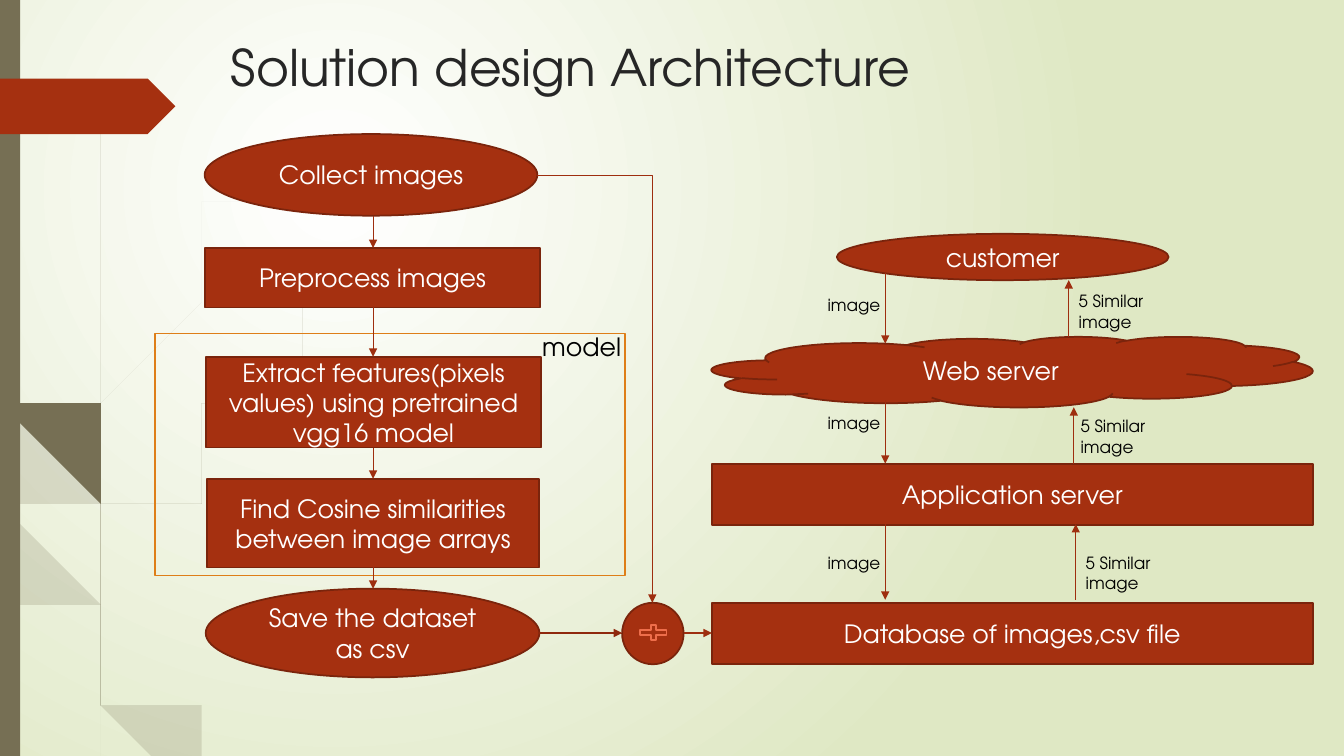
from lxml.etree import SubElement
from pptx import Presentation
from pptx.dml.color import RGBColor
from pptx.enum.shapes import MSO_CONNECTOR, MSO_SHAPE
from pptx.enum.text import MSO_ANCHOR, MSO_AUTO_SIZE, PP_ALIGN
from pptx.oxml import parse_xml
from pptx.oxml.ns import nsdecls, qn
from pptx.util import Inches, Pt


class Theme:
    font = "TeX Gyre Adventor"
    rust = RGBColor.from_string("A53010")
    rust_edge = RGBColor.from_string("7A240C")
    arrow = RGBColor.from_string("9E2E0F")
    csv_arrow = RGBColor.from_string("8F280D")
    plus_edge = RGBColor.from_string("EE6E4B")
    frame = RGBColor.from_string("DE7E18")
    olive = RGBColor.from_string("766F54")
    title_ink = RGBColor.from_string("262626")
    black = RGBColor(0, 0, 0)
    white = RGBColor(255, 255, 255)
    title_size, node_size, label_size = Pt(36), Pt(18), Pt(12)
    edge_width, arrow_width = Pt(1.25), Pt(0.75)


presentation = Presentation()
presentation.slide_width, presentation.slide_height = Inches(13.33), Inches(7.5)
slide = presentation.slides.add_slide(presentation.slide_layouts[5])
shapes = slide.shapes


def add_node(kind, box, text="", fill=Theme.rust, edge=Theme.rust_edge):
    node = shapes.add_shape(kind, *map(Inches, box))
    node.shadow.inherit = False
    if fill is None:
        node.fill.background()
    else:
        node.fill.solid()
        node.fill.fore_color.rgb = fill
    if edge is None:
        node.line.fill.background()
    else:
        node.line.color.rgb = edge
        node.line.width = Theme.edge_width
    if text:
        node.text_frame.text = text
        node.text_frame.word_wrap = True
        node.text_frame.vertical_anchor = MSO_ANCHOR.MIDDLE
        paragraph = node.text_frame.paragraphs[0]
        paragraph.alignment = PP_ALIGN.CENTER
        paragraph.font.name = Theme.font
        paragraph.font.size = Theme.node_size
        paragraph.font.color.rgb = Theme.white
    return node


def add_arrow(start, end, color=Theme.arrow, kind=MSO_CONNECTOR.STRAIGHT):
    arrow = shapes.add_connector(kind, *map(Inches, (*start, *end)))
    arrow.line.color.rgb = color
    arrow.line.width = Theme.arrow_width
    SubElement(arrow.line._get_or_add_ln(), qn("a:tailEnd"), type="triangle")
    SubElement(arrow._element.spPr, qn("a:effectLst"))
    return arrow


slide.background.fill.solid()
background = slide._element.cSld.find(qn("p:bg")).find(qn("p:bgPr"))
background.replace(background[0], parse_xml(
    f'<a:gradFill {nsdecls("a")} rotWithShape="1"><a:gsLst>'
    '<a:gs pos="0"><a:srgbClr val="FFFFFF"/></a:gs>'
    '<a:gs pos="100000"><a:srgbClr val="DFE8C4"/></a:gs></a:gsLst>'
    '<a:path path="circle"><a:fillToRect l="50000" t="50000" r="100000" b="100000"/></a:path>'
    '</a:gradFill>'))

wisps = [
    (20, [(0, 2.99), (0.11, 3.5), (0.28, 4.7), (0.65, 6.21), (0.92, 6.93), (1.14, 7.5)],
     [(1.24, 7.5), (1.05, 7.11), (0.93, 6.83), (0.7, 6.19), (0.31, 4.69), (0.17, 3.76),
      (0.09, 3.22), (0, 2.82)]),
    (20, [(0.14, 3.45), (0.17, 3.76), (0.58, 5.22), (0.84, 5.99), (1.23, 6.94), (1.5, 7.5)],
     [(1.55, 7.5), (1.27, 6.92), (0.92, 6.07), (0.62, 5.2), (0.14, 3.45)]),
    (20, [(3.12, 1.54), (2.68, 1.98), (2.29, 2.45), (1.6, 3.49), (1.1, 4.62), (0.88, 5.84),
          (0.91, 6.46), (1.05, 7.11)],
     [(0.93, 6.83), (0.87, 6.46), (0.84, 5.99), (0.85, 5.84), (1.07, 4.61), (1.58, 3.48),
      (2.28, 2.44), (2.68, 1.97), (3.12, 1.53)]),
    (100, [(0.03, 0), (0.07, 1.1), (0.17, 2.33), (0.33, 3.55), (0.57, 4.77), (0.68, 5.57),
           (0.93, 6.59), (1.17, 7.22), (1.27, 7.49)],
     [(1.36, 7.49), (1.22, 7.19), (1.1, 6.91), (0.98, 6.57), (0.72, 5.56), (0.55, 4.53),
      (0.36, 3.55), (0.19, 2.32), (0.08, 1.09), (0.04, 0)]),
    (100, [(0.7, 1.41), (0.62, 1.93), (0.56, 2.45), (0.52, 3.49), (0.55, 4.49), (0.64, 5.05),
           (0.88, 5.92), (1.06, 6.45), (1.32, 7.08), (1.52, 7.49)],
     [(1.57, 7.49), (1.36, 7.06), (1.13, 6.49), (0.93, 5.9), (0.6, 4.72), (0.54, 3.49),
      (0.58, 2.45), (0.63, 1.93), (0.7, 1.41)]),
    (100, [(2.6, 3.44), (2.31, 3.74), (2.05, 4.06), (1.58, 4.76), (1.25, 5.52), (1.11, 6.33),
           (1.11, 6.56), (1.22, 7.19)],
     [(1.16, 7.06), (1.1, 6.91), (1.06, 6.45), (1.06, 6.31), (1.22, 5.51), (1.56, 4.74),
      (2.04, 4.05), (2.31, 3.73), (2.6, 3.44)]),
]
for opacity, *edges in wisps:
    outline = []
    for knots in edges:
        padded = [knots[0], *knots, knots[-1]]
        for a, b, c, d in zip(padded, padded[1:], padded[2:], padded[3:]):
            for t in (0, 0.2, 0.4, 0.6, 0.8):
                outline.append(tuple(
                    q + t / 2 * (r - p + t * (2 * p - 5 * q + 4 * r - s + t * (3 * (q - r) + s - p)))
                    for p, q, r, s in zip(a, b, c, d)))
        outline.append(knots[-1])
    builder = shapes.build_freeform(*outline[0], scale=Inches(1))
    builder.add_line_segments(outline[1:], close=True)
    wisp = builder.convert_to_shape()
    wisp.shadow.inherit = False
    wisp.fill.solid()
    wisp.fill.fore_color.rgb = Theme.olive
    wisp.line.fill.background()
    tint = wisp._element.spPr.find(qn("a:solidFill"))[0]
    SubElement(tint, qn("a:alpha"), val=str(opacity * 1000))

add_node(MSO_SHAPE.RECTANGLE, (0, 0, 0.2, 7.5), fill=Theme.olive, edge=None)
add_node(MSO_SHAPE.PENTAGON, (0, 0.78, 1.74, 0.55), edge=None)

title = shapes.title
title.left, title.top, title.width, title.height = map(Inches, (2.19, 0.31, 7.57, 0.82))
title.text_frame.text = "Solution design Architecture"
title.text_frame.auto_size = MSO_AUTO_SIZE.NONE
title.text_frame.vertical_anchor = MSO_ANCHOR.TOP
heading = title.text_frame.paragraphs[0]
heading.alignment = PP_ALIGN.LEFT
heading.font.name = Theme.font
heading.font.size = Theme.title_size
heading.font.color.rgb = Theme.title_ink

for kind, box, text in [
    (MSO_SHAPE.OVAL, (8.3, 2.32, 3.29, 0.46), "customer"),
    (MSO_SHAPE.CLOUD, (7.06, 3.34, 5.96, 0.7), "Web server"),
    (MSO_SHAPE.RECTANGLE, (7.06, 4.6, 5.96, 0.61), "Application server"),
    (MSO_SHAPE.RECTANGLE, (7.06, 5.98, 5.96, 0.61), "Database of images,csv file"),
    (MSO_SHAPE.OVAL, (2.03, 1.33, 3.3, 0.81), "Collect images"),
    (MSO_SHAPE.RECTANGLE, (2.03, 2.46, 3.33, 0.59), "Preprocess images"),
    (MSO_SHAPE.RECTANGLE, (2.04, 3.54, 3.33, 0.9),
     "Extract features(pixels values) using pretrained vgg16 model"),
    (MSO_SHAPE.RECTANGLE, (2.05, 4.75, 3.3, 0.88),
     "Find Cosine similarities between image arrays"),
    (MSO_SHAPE.OVAL, (2.04, 5.84, 3.31, 0.88), "Save the dataset as csv"),
]:
    add_node(kind, box, text)

add_node(MSO_SHAPE.RECTANGLE, (1.54, 3.31, 4.66, 2.4), fill=None, edge=Theme.frame)
add_node(MSO_SHAPE.FLOWCHART_CONNECTOR, (6.17, 5.98, 0.61, 0.61))
add_node(MSO_SHAPE.MATH_PLUS, (6.3, 6.17, 0.36, 0.21), edge=Theme.plus_edge)

for top, bottom in [(2.14, 2.46), (3.04, 3.54), (4.44, 4.75), (5.63, 5.84)]:
    add_arrow((3.7, top), (3.7, bottom))
for top, bottom in [(2.71, 3.41), (3.97, 4.6), (5.2, 5.95)]:
    add_arrow((8.78, top), (8.78, bottom))
for x, bottom, top in [(10.6, 3.34, 2.78), (10.65, 4.6, 4.04), (10.67, 5.95, 5.2)]:
    add_arrow((x, bottom), (x, top))
add_arrow((5.35, 6.28), (6.17, 6.28), Theme.csv_arrow)
add_arrow((6.78, 6.28), (7.06, 6.28))
collected = add_arrow((5.33, 1.74), (6.47, 5.98), kind=MSO_CONNECTOR.ELBOW)
collected._element.spPr.find(qn("a:prstGeom")).set("prst", "bentConnector2")

labels = [("model", (5.28, 3.24, 1.16, 0.4), Theme.node_size)]
for request_top, reply_box in [
    (2.87, (10.6, 2.84, 0.99, 0.5)),
    (4.05, (10.62, 4.08, 0.96, 0.5)),
    (5.43, (10.67, 5.43, 0.91, 0.5)),
]:
    labels.append(("image", (8.11, request_top, 0.77, 0.3), Theme.label_size))
    labels.append(("5 Similar image", reply_box, Theme.label_size))
for text, box, size in labels:
    label = shapes.add_textbox(*map(Inches, box)).text_frame
    label.text = text
    label.word_wrap = True
    label.auto_size = MSO_AUTO_SIZE.SHAPE_TO_FIT_TEXT
    label.paragraphs[0].font.name = Theme.font
    label.paragraphs[0].font.size = size
    label.paragraphs[0].font.color.rgb = Theme.black

presentation.save("out.pptx")
